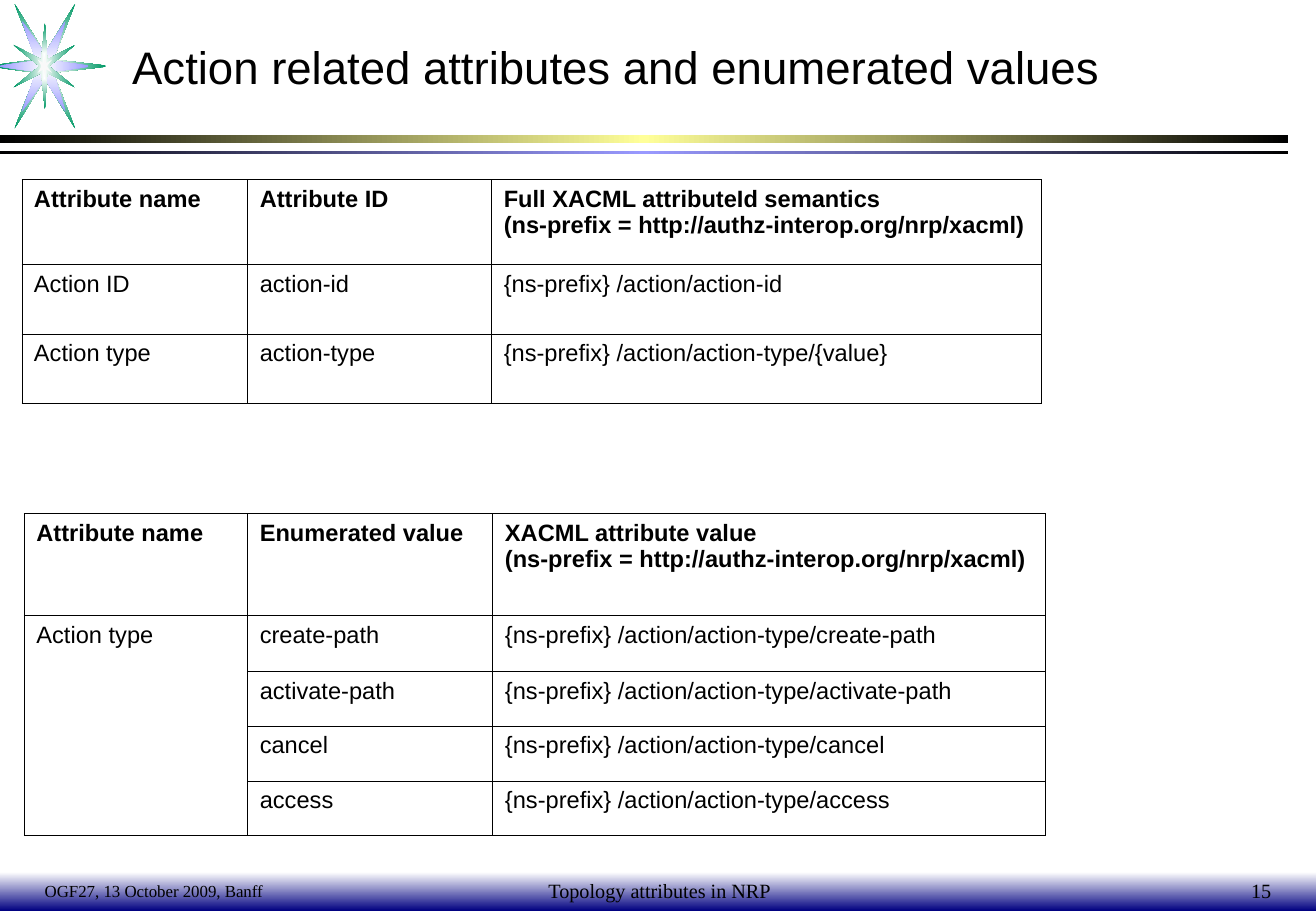
from pptx import Presentation
from pptx.dml.color import RGBColor
from pptx.enum.shapes import MSO_SHAPE
from pptx.enum.text import MSO_ANCHOR as Anchor, PP_ALIGN as Align
from pptx.oxml import parse_xml
from pptx.oxml.ns import nsdecls, qn
from pptx.util import Inches, Pt

WIDTH, HEIGHT = 10.84, 7.5
COLORS = {"ink": "000000", "paper": "FFFFFF", "navy": "000080", "yellow": "FFFF99",
          "violet": "9999FF", "green": "009966", "core": "F9F9F9"}

TITLE = "Action related attributes and enumerated values"
PREFIX_NOTE = "(ns-prefix = http://authz-interop.org/nrp/xacml)"
ACTION = "{ns-prefix} /action/"

# left, top, column widths, row heights, rows (None continues the cell above)
TABLES = [
    (0.18, 1.48, (1.86, 2.01, 4.53), (0.7, 0.57, 0.57), [
        ("Attribute name", "Attribute ID",
         "Full XACML attributeId semantics\n" + PREFIX_NOTE),
        ("Action ID", "action-id", ACTION + "action-id"),
        ("Action type", "action-type", ACTION + "action-type/{value}"),
    ]),
    (0.2, 4.23, (1.84, 2.02, 4.55), (0.84, 0.46, 0.45, 0.45, 0.45), [
        ("Attribute name", "Enumerated value",
         "XACML attribute value\n" + PREFIX_NOTE),
        ("Action type", "create-path", ACTION + "action-type/create-path"),
        (None, "activate-path", ACTION + "action-type/activate-path"),
        (None, "cancel", ACTION + "action-type/cancel"),
        (None, "access", ACTION + "action-type/access"),
    ]),
]

# text, left, width, size, alignment
FOOTERS = [
    ("Topology attributes in NRP", 3.72, 3.43, 12, Align.CENTER),
    ("15", 8.32, 2.25, 12, Align.RIGHT),
    ("OGF27, 13 October 2009, Banff", 0.27, 2.89, 10, Align.LEFT),
]

# left, top, width, height, gradient colours, angle
BARS = [
    (0, 7.18, WIDTH, 0.32, ("paper", "navy"), 90),
    (0, 1.11, 10.61, 0.07, ("ink", "yellow", "ink"), 0),
    (0, 1.24, 10.61, 0.03, ("ink", "violet", "ink"), 0),
]

# Upper half of each star in hundredths of an inch; the lower half mirrors it
STAR_AXIS = 54.5
STARS = [
    ("green", [(0, 53), (30, 49), (12, 3), (37, 44), (62, 3), (44, 49), (87, 54)]),
    ("violet", [(0, 54), (30, 50), (18, 17), (37, 44), (54, 17), (44, 50), (73, 54)]),
    ("green", [(32, 54), (11, 37), (34, 49), (37, 19), (39, 49), (62, 37), (41, 54)]),
    ("core", [(34, 54), (31, 49), (36, 52), (37, 45), (38, 52), (43, 49), (39, 54)]),
]


def rgb(name):
    return RGBColor.from_string(COLORS[name])


def plain(shape):
    shape.shadow.inherit = False
    shape.line.fill.background()
    shape.fill.background()


def set_gradient(shape, names, direction):
    stops = "".join(
        f'<a:gs pos="{100000 * i // (len(names) - 1)}"><a:srgbClr val="{COLORS[name]}"/></a:gs>'
        for i, name in enumerate(names))
    gradient = parse_xml(f'<a:gradFill {nsdecls("a")} rotWithShape="1">'
                         f'<a:gsLst>{stops}</a:gsLst>{direction}</a:gradFill>')
    properties = shape._element.spPr
    properties.replace(properties.find(qn("a:noFill")), gradient)


def write(frame, text, size, font, bold=False, align=Align.LEFT):
    frame.word_wrap = True
    for i, line in enumerate(text.split("\n")):
        paragraph = frame.add_paragraph() if i else frame.paragraphs[0]
        paragraph.alignment = align
        run = paragraph.add_run()
        run.text = line
        run.font.size, run.font.name, run.font.bold = Pt(size), font, bold
        run.font.color.rgb = rgb("ink")


def add_text(slide, box, text, size, font, align=Align.LEFT):
    frame = slide.shapes.add_textbox(*map(Inches, box)).text_frame
    frame.vertical_anchor = Anchor.MIDDLE
    write(frame, text, size, font, align=align)


def add_bar(slide, left, top, width, height, names, angle):
    box = map(Inches, (left, top, width, height))
    bar = slide.shapes.add_shape(MSO_SHAPE.RECTANGLE, *box)
    plain(bar)
    set_gradient(bar, names, f'<a:lin ang="{angle * 60000}" scaled="0"/>')


def add_star(slide, color, upper):
    lower = [(x, round(2 * STAR_AXIS - y)) for x, y in reversed(upper)]
    builder = slide.shapes.build_freeform(*upper[0], scale=Inches(0.01))
    builder.add_line_segments(upper[1:] + lower, close=True)
    star = builder.convert_to_shape()
    plain(star)
    if color == "core":
        star.fill.solid()
        star.fill.fore_color.rgb = rgb(color)
    else:
        set_gradient(star, ("paper", color),
                     '<a:path path="rect"><a:fillToRect l="50000" t="50000" '
                     'r="50000" b="50000"/></a:path>')


def style_cell(cell):
    properties = cell._tc.get_or_add_tcPr()
    for side in ("lnL", "lnR", "lnT", "lnB"):
        properties.append(parse_xml(
            f'<a:{side} {nsdecls("a")} w="{Pt(0.45)}"><a:solidFill>'
            f'<a:srgbClr val="{COLORS["ink"]}"/></a:solidFill></a:{side}>'))
    cell.fill.background()
    cell.margin_left = cell.margin_right = Inches(0.1)
    cell.margin_top = cell.margin_bottom = Inches(0.05)


def add_table(slide, left, top, widths, heights, rows):
    box = map(Inches, (left, top, sum(widths), sum(heights)))
    table = slide.shapes.add_table(len(rows), len(widths), *box).table
    table.first_row = table.horz_banding = False
    for column, width in zip(table.columns, widths):
        column.width = Inches(width)
    for row, height in zip(table.rows, heights):
        row.height = Inches(height)
    for r, row in enumerate(rows):
        for c, text in enumerate(row):
            cell = table.cell(r, c)
            style_cell(cell)
            if text is not None:
                write(cell.text_frame, text, 14, "Arial", bold=r == 0)
    continued = [r for r, row in enumerate(rows) if row[0] is None]
    if continued:
        table.cell(continued[0] - 1, 0).merge(table.cell(continued[-1], 0))


def main():
    presentation = Presentation()
    presentation.slide_width, presentation.slide_height = Inches(WIDTH), Inches(HEIGHT)
    slide = presentation.slides.add_slide(presentation.slide_layouts[6])

    # Bars and star
    for bar in BARS:
        add_bar(slide, *bar)
    for star in STARS:
        add_star(slide, *star)

    # Title and tables
    add_text(slide, (0.99, 0.21, 9.65, 0.67), TITLE, 27, "Arial")
    for table in TABLES:
        add_table(slide, *table)

    # Footer
    for text, left, width, size, align in FOOTERS:
        add_text(slide, (left, 7.17, width, 0.33), text, size, "Times New Roman", align)

    presentation.save("out.pptx")


if __name__ == "__main__":
    main()
